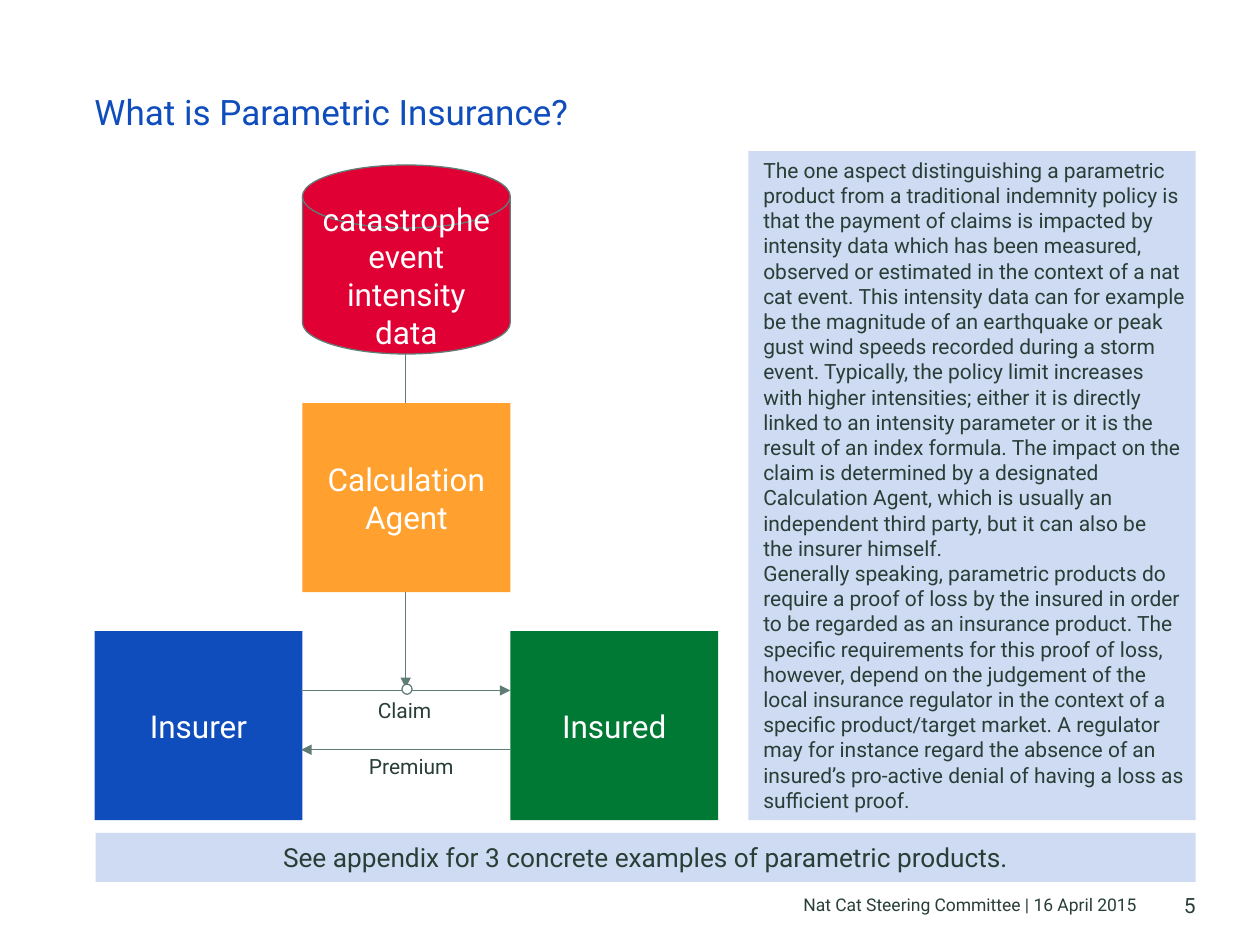
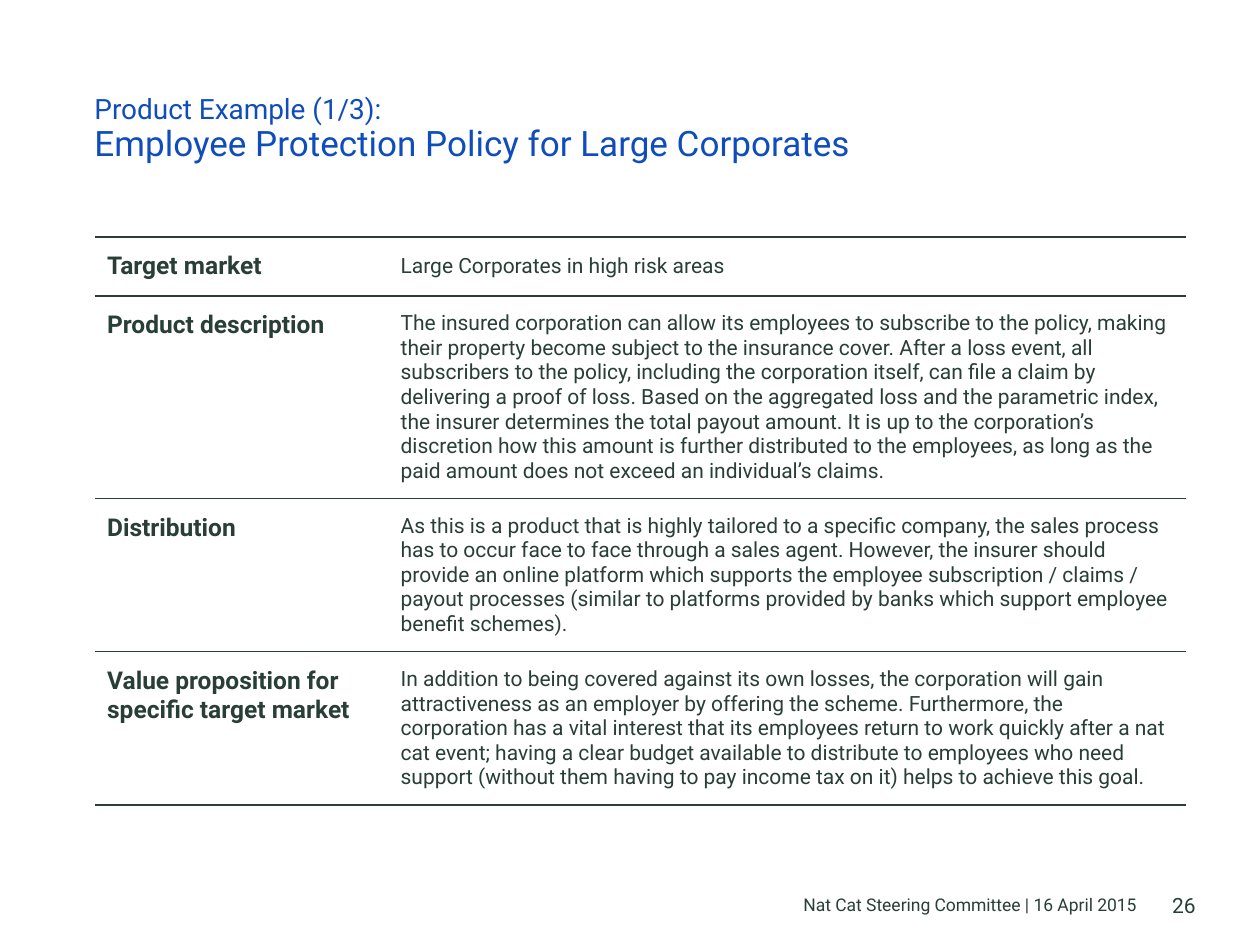
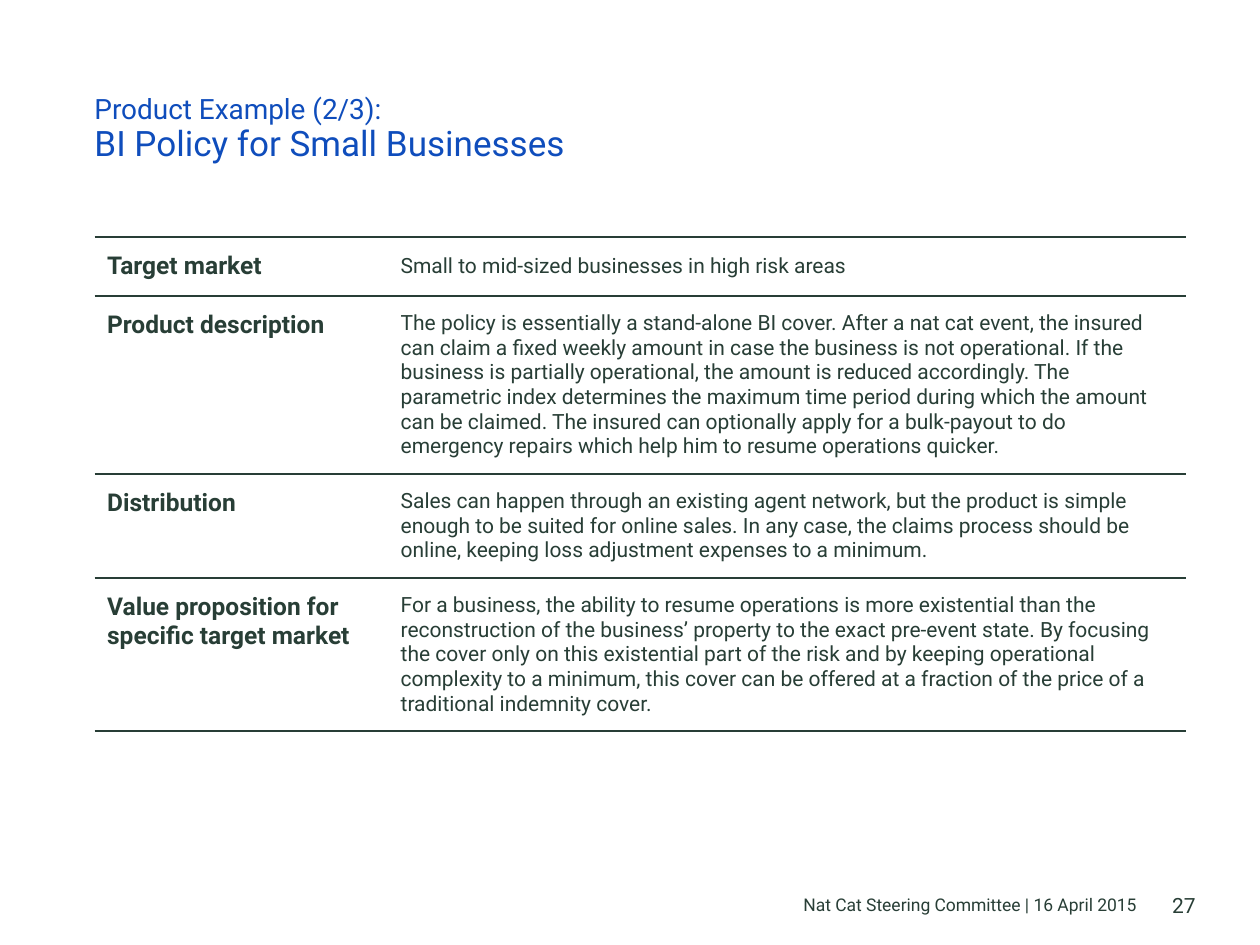
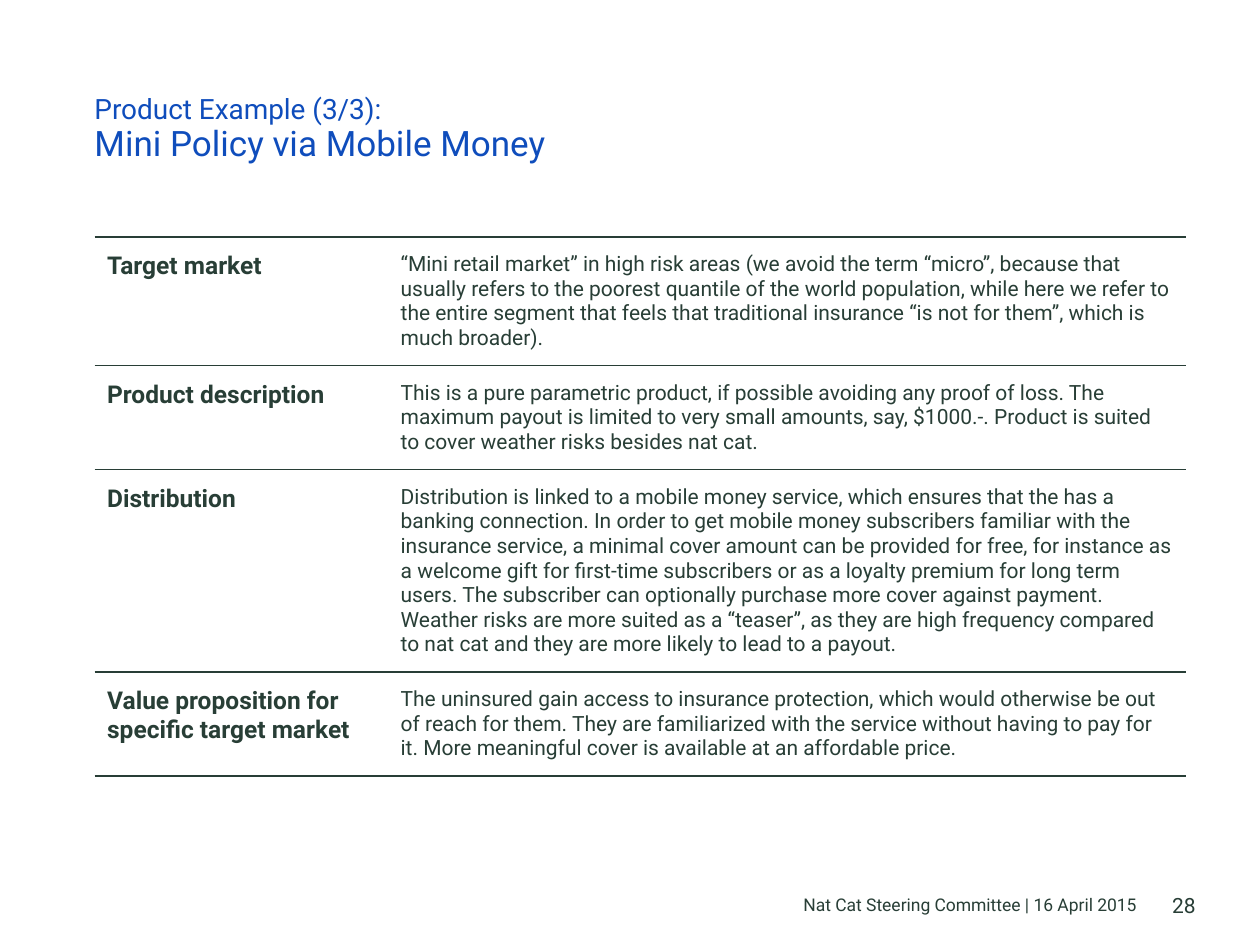
from lxml.etree import SubElement
from pptx import Presentation
from pptx.dml.color import RGBColor
from pptx.enum.shapes import MSO_CONNECTOR as Connector, MSO_SHAPE as Shape
from pptx.enum.text import MSO_ANCHOR as Anchor, MSO_AUTO_SIZE as AutoSize, PP_ALIGN as Align
from pptx.oxml import parse_xml
from pptx.oxml.ns import nsdecls, qn
from pptx.util import Inches, Pt

FONT = "Roboto"
INK, BLUE, GREEN, ORANGE, RED = "283E36", "0F4DBC", "007934", "FFA02F", "E00034"
PALE, WHITE, ARROW, OUTLINE = "CFDBF2", "FFFFFF", "5F7B75", "627D77"
FOOTER = "Nat Cat Steering Committee | 16 April 2015"
LEFT = 0.75
BOX_WIDTH, BOX_HEIGHT = 1.65, 1.5
ROW_LABELS = (
    "Target market",
    "Product description",
    "Distribution",
    "Value proposition for specific target market",
)

EXPLANATION = (
    "The one aspect distinguishing a parametric product from a traditional indemnity policy is "
    "that the payment of claims is impacted by intensity data which has been measured, observed "
    "or estimated in the context of a nat cat event. This intensity data can for example be the "
    "magnitude of an earthquake or peak gust wind speeds recorded during a storm event. "
    "Typically, the policy limit increases with higher intensities; either it is directly linked "
    "to an intensity parameter or it is the result of an index formula. The impact on the claim "
    "is determined by a designated Calculation Agent, which is usually an independent third "
    "party, but it can also be",
    "the insurer himself.",
    "Generally speaking, parametric products do require a proof of loss by the insured in order "
    "to be regarded as an insurance product. The specific requirements for this proof of loss, "
    "however, depend on the judgement of the local insurance regulator in the context of a "
    "specific product/target market. A regulator may for instance regard the absence of an "
    "insured’s pro-active denial of having a loss as sufficient proof.",
)

EXAMPLES = (
    ("Employee Protection Policy for Large Corporates", 4.58, (
        "Large Corporates in high risk areas",
        "The insured corporation can allow its employees to subscribe to the policy, making "
        "their property become subject to the insurance cover. After a loss event, all "
        "subscribers to the policy, including the corporation itself, can file a claim by "
        "delivering a proof of loss. Based on the aggregated loss and the parametric index, the "
        "insurer determines the total payout amount. It is up to the corporation’s discretion "
        "how this amount is further distributed to the employees, as long as the paid amount "
        "does not exceed an individual’s claims.",
        "As this is a product that is highly tailored to a specific company, the sales process "
        "has to occur face to face through a sales agent. However, the insurer should provide an "
        "online platform which supports the employee subscription / claims / payout processes "
        "(similar to platforms provided by banks which support employee benefit schemes).",
        "In addition to being covered against its own losses, the corporation will gain "
        "attractiveness as an employer by offering the scheme. Furthermore, the corporation has "
        "a vital interest that its employees return to work quickly after a nat cat event; "
        "having a clear budget available to distribute to employees who need support (without "
        "them having to pay income tax on it) helps to achieve this goal.",
    )),
    ("BI Policy for Small Businesses", 3.98, (
        "Small to mid-sized businesses in high risk areas",
        "The policy is essentially a stand-alone BI cover. After a nat cat event, the insured "
        "can claim a fixed weekly amount in case the business is not operational. If the "
        "business is partially operational, the amount is reduced accordingly. The parametric "
        "index determines the maximum time period during which the amount can be claimed. The "
        "insured can optionally apply for a bulk-payout to do emergency repairs which help him "
        "to resume operations quicker.",
        "Sales can happen through an existing agent network, but the product is simple enough "
        "to be suited for online sales. In any case, the claims process should be online, "
        "keeping loss adjustment expenses to a minimum.",
        "For a business, the ability to resume operations is more existential than the "
        "reconstruction of the business’ property to the exact pre-event state. By focusing the "
        "cover only on this existential part of the risk and by keeping operational complexity "
        "to a minimum, this cover can be offered at a fraction of the price of a traditional "
        "indemnity cover.",
    )),
    ("Mini Policy via Mobile Money", 4.34, (
        "“Mini retail market” in high risk areas (we avoid the term “micro”, because that "
        "usually refers to the poorest quantile of the world population, while here we refer to "
        "the entire segment that feels that traditional insurance “is not for them”, which is "
        "much broader).",
        "This is a pure parametric product, if possible avoiding any proof of loss. The maximum "
        "payout is limited to very small amounts, say, $1000.-. Product is suited to cover "
        "weather risks besides nat cat.",
        "Distribution is linked to a mobile money service, which ensures that the has a banking "
        "connection. In order to get mobile money subscribers familiar with the insurance "
        "service, a minimal cover amount can be provided for free, for instance as a welcome "
        "gift for first-time subscribers or as a loyalty premium for long term users. The "
        "subscriber can optionally purchase more cover against payment. Weather risks are more "
        "suited as a “teaser”, as they are high frequency compared to nat cat and they are more "
        "likely to lead to a payout.",
        "The uninsured gain access to insurance protection, which would otherwise be out of "
        "reach for them. They are familiarized with the service without having to pay for it. "
        "More meaningful cover is available at an affordable price.",
    )),
)


def rgb(color):
    """Turn a hex string into a colour."""
    return RGBColor.from_string(color)


def write(frame, text, size=12, color=INK, bold=False, align=Align.LEFT, spacing=None, lead=None):
    """Fill a frame with one paragraph per line, after an optional smaller lead line."""
    for number, line in enumerate(text.split("\n")):
        paragraph = frame.paragraphs[0] if number == 0 else frame.add_paragraph()
        paragraph.alignment = align
        paragraph.line_spacing = spacing
        parts = [(line, size)]
        if lead and number == 0:
            parts.insert(0, (lead, size - 4))
        for position, (words, points) in enumerate(parts):
            if position:
                paragraph.add_line_break()
            run = paragraph.add_run()
            run.text = words
            run.font.name = FONT
            run.font.size = Pt(points)
            run.font.bold = bold
            run.font.color.rgb = rgb(color)


def inches(*lengths):
    """Convert several lengths to inches."""
    return [Inches(length) for length in lengths]


class Deck:
    """Hold the presentation, its style and the current slide."""

    def __init__(self):
        """Start an empty presentation."""
        self.presentation = Presentation()
        self.presentation.slide_width, self.presentation.slide_height = inches(10, 7.5)
        self.slide = None

    def page(self, number, title, lead=None):
        """Add a slide with its footer, title and page number."""
        self.slide = self.presentation.slides.add_slide(self.presentation.slide_layouts[6])
        edge = dict(inset=False, wrap=False, anchor=Anchor.BOTTOM, align=Align.RIGHT)
        self.text(2.56, 7.11, 6.46, 0.15, FOOTER, size=10, **edge)
        self.text(LEFT, 0.76, 8.74, 0.76, title, inset=False, size=20, color=BLUE,
                  spacing=0.9, lead=lead)
        self.text(9.25, 7.08, 0.24, 0.2, str(number), **edge)

    def text(self, left, top, width, height, words, inset=True, wrap=True, grow=False,
             anchor=Anchor.TOP, **style):
        """Add a text box."""
        frame = self.slide.shapes.add_textbox(*inches(left, top, width, height)).text_frame
        frame.word_wrap = wrap
        frame.auto_size = AutoSize.SHAPE_TO_FIT_TEXT if grow else AutoSize.NONE
        frame.vertical_anchor = anchor
        if not inset:
            frame.margin_left = frame.margin_right = frame.margin_top = frame.margin_bottom = 0
        write(frame, words, **style)

    def block(self, left, top, width, height, fill, words="", kind=Shape.RECTANGLE,
              outline=None, size=18, color=WHITE):
        """Add a filled shape with centred text."""
        shape = self.slide.shapes.add_shape(kind, *inches(left, top, width, height))
        shape.shadow.inherit = False
        shape.fill.solid()
        shape.fill.fore_color.rgb = rgb(fill)
        if outline:
            shape.line.color.rgb = rgb(outline)
            shape.line.width = Pt(0.75)
        else:
            shape.line.fill.background()
        if words:
            shape.text_frame.vertical_anchor = Anchor.MIDDLE
            write(shape.text_frame, words, size=size, color=color, align=Align.CENTER)

    def arrow(self, *ends):
        """Add a straight arrow pointing at its second end."""
        connector = self.slide.shapes.add_connector(Connector.STRAIGHT, *inches(*ends))
        connector.line.color.rgb = rgb(ARROW)
        connector.line.width = Pt(0.75)
        properties = connector._element.spPr
        SubElement(properties.find(qn("a:ln")), qn("a:tailEnd"), type="triangle")
        SubElement(properties, qn("a:effectLst"))

    def table(self, left, top, height, widths, rows):
        """Add a table of labels and descriptions ruled by horizontal lines."""
        holder = self.slide.shapes.add_table(
            len(rows), len(widths), *inches(left, top, sum(widths), height))
        grid = holder.table
        grid.first_row = grid.horz_banding = False
        for column, width in zip(grid.columns, widths):
            column.width = Inches(width)
        for row, (label, description) in zip(grid.rows, rows):
            row.height = Inches(0.41)
            heading, detail = row.cells
            for cell in (heading, detail):
                self.rule(cell)
            write(heading.text_frame, label, size=14, bold=True)
            write(detail.text_frame, description)
            detail.vertical_anchor = Anchor.MIDDLE
        holder.height = Inches(height)

    def rule(self, cell):
        """Give a cell its margins, fill and borders."""
        cell.margin_left = cell.margin_right = Inches(0.1)
        cell.margin_top = cell.margin_bottom = Inches(0.12)
        cell.fill.solid()
        cell.fill.fore_color.rgb = rgb(WHITE)
        solid = f'<a:solidFill><a:srgbClr val="{INK}"/></a:solidFill>'
        for place, side in enumerate("LRTB"):
            paint = solid if side in "TB" else "<a:noFill/>"
            border = f'<a:ln{side} {nsdecls("a")} w="{Pt(1)}">{paint}</a:ln{side}>'
            cell._tc.get_or_add_tcPr().insert(place, parse_xml(border))


def build_overview(deck):
    """Draw the diagram of the parties and the explanation."""
    deck.page(5, "What is Parametric Insurance?")
    middle, right = LEFT + BOX_WIDTH, LEFT + 2 * BOX_WIDTH
    deck.arrow(3.22, 2.8, 3.22, 5.46)
    for left, top, fill, party in (
        (LEFT, 5.01, BLUE, "Insurer"),
        (right, 5.01, GREEN, "Insured"),
        (middle, 3.2, ORANGE, "Calculation\nAgent"),
    ):
        deck.block(left, top, BOX_WIDTH, BOX_HEIGHT, fill, party)
    deck.block(middle, 1.31, BOX_WIDTH, BOX_HEIGHT, RED, "catastrophe event intensity data",
               kind=Shape.FLOWCHART_MAGNETIC_DISK, outline=OUTLINE)
    deck.arrow(2.39, 5.48, 4.05, 5.48)
    deck.arrow(4.05, 5.95, 2.39, 5.95)
    deck.block(3.19, 5.43, 0.08, 0.08, WHITE, kind=Shape.OVAL, outline=OUTLINE)
    deck.text(2.83, 5.93, 0.88, 0.3, "Premium", wrap=False, grow=True)
    deck.text(2.9, 5.49, 0.63, 0.3, "Claim", wrap=False, grow=True)
    deck.block(5.94, 1.2, 3.55, 5.31, PALE)
    deck.text(5.96, 1.2, 3.56, 5.35, "\n".join(EXPLANATION), grow=True)
    deck.block(0.76, 6.61, 8.73, 0.39, PALE, size=15, color=INK,
               words="See appendix for 3 concrete examples of parametric products.")


def main():
    """Build and save the slides."""
    deck = Deck()
    build_overview(deck)
    for number, (product, height, descriptions) in enumerate(EXAMPLES, start=1):
        deck.page(25 + number, product, lead=f"Product Example ({number}/{len(EXAMPLES)}):")
        deck.table(LEFT, 1.88, height, (2.33, 6.33), list(zip(ROW_LABELS, descriptions)))
    deck.presentation.save("out.pptx")


if __name__ == "__main__":
    main()
